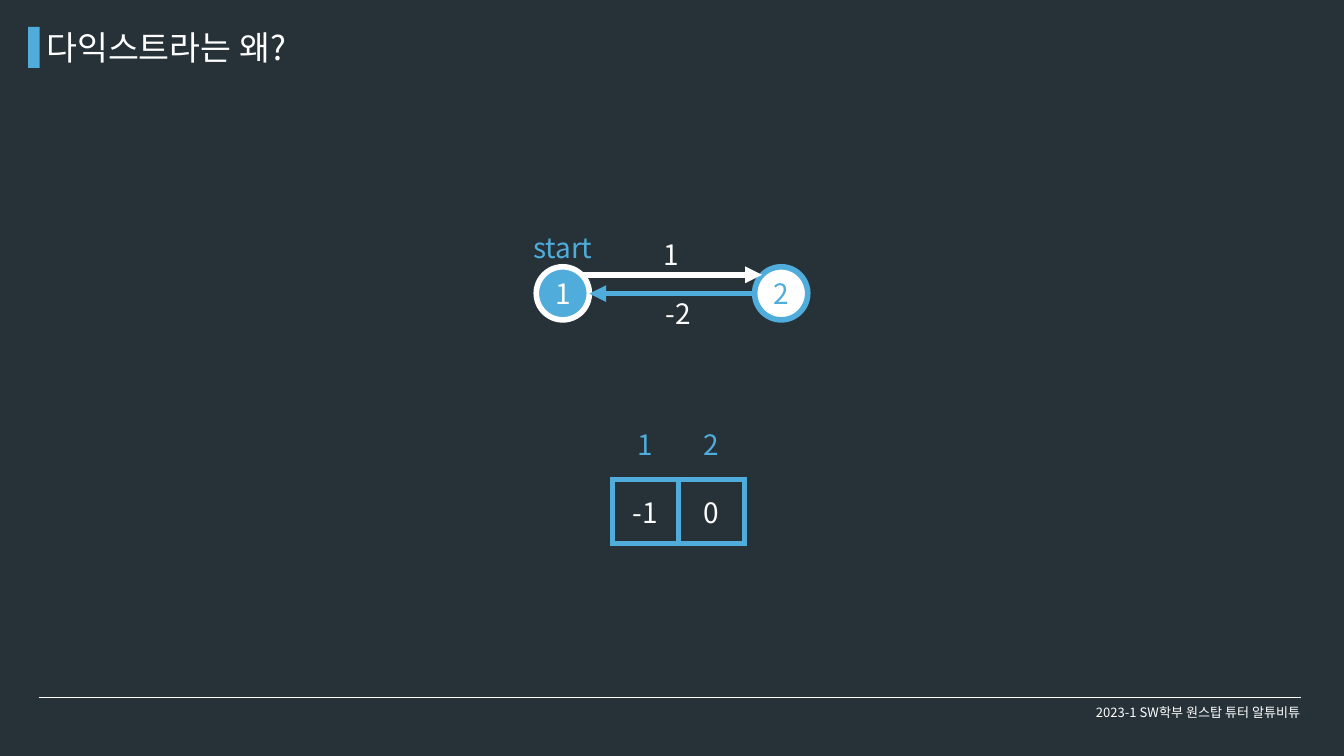
from lxml import etree
from pptx import Presentation
from pptx.dml.color import RGBColor
from pptx.enum.shapes import MSO_CONNECTOR, MSO_SHAPE
from pptx.enum.text import MSO_ANCHOR, MSO_AUTO_SIZE, PP_ALIGN
from pptx.oxml.ns import qn
from pptx.util import Inches, Pt

STRAIGHT = MSO_CONNECTOR.STRAIGHT
RECTANGLE, OVAL = MSO_SHAPE.RECTANGLE, MSO_SHAPE.OVAL
LEFT, CENTER = PP_ALIGN.LEFT, PP_ALIGN.CENTER
TOP, MIDDLE = MSO_ANCHOR.TOP, MSO_ANCHOR.MIDDLE
FIT_SHAPE = MSO_AUTO_SIZE.SHAPE_TO_FIT_TEXT

FONT = "Noto Sans CJK KR"
DARK, BLUE, WHITE = "263238", "4FACDB", "FFFFFF"
HEAVY = 6
NODE_SIZE, NODE_TOP = 0.79, 3.97
CELL_WIDTH, CELL_HEIGHT, TABLE_LEFT = 0.985, 0.96, 9.11


def color(value):
    """Turn a hex string into a colour."""
    return RGBColor.from_string(value)


def write(frame, text, size, text_color, align):
    """Put one styled paragraph into a text frame."""
    paragraph = frame.paragraphs[0]
    paragraph.text = text
    paragraph.alignment = align
    paragraph.font.size = Pt(size)
    paragraph.font.name = FONT
    paragraph.font.color.rgb = color(text_color)
    defaults = paragraph._p.get_or_add_pPr().get_or_add_defRPr()
    etree.SubElement(defaults, qn("a:ea"), typeface=FONT)


def add_text(slide, box, text, size=30, text_color=WHITE, align=LEFT,
             anchor=TOP, wrap=True, grow=True):
    """Add a text box."""
    frame = slide.shapes.add_textbox(*map(Inches, box)).text_frame
    frame.word_wrap = wrap
    frame.vertical_anchor = anchor
    if grow:
        frame.auto_size = FIT_SHAPE
    write(frame, text, size, text_color, align)


def add_shape(slide, kind, box, fill, line=None):
    """Add a flat filled shape with an optional heavy outline."""
    shape = slide.shapes.add_shape(kind, *map(Inches, box))
    shape.shadow.inherit = False
    shape.fill.solid()
    shape.fill.fore_color.rgb = color(fill)
    if line:
        shape.line.color.rgb = color(line)
        shape.line.width = Pt(HEAVY)
    else:
        shape.line.fill.background()
    return shape


def add_node(slide, left, label, fill, accent):
    """Add a graph node whose outline and label share a colour."""
    box = (left, NODE_TOP, NODE_SIZE, NODE_SIZE)
    frame = add_shape(slide, OVAL, box, fill, accent).text_frame
    frame.vertical_anchor = MIDDLE
    frame.word_wrap = False
    write(frame, label, 30, accent, CENTER)


def add_line(slide, start, end, line_color, width, arrow=False):
    """Add a straight line, with an arrowhead at its end if asked."""
    connector = slide.shapes.add_connector(STRAIGHT, *map(Inches, start + end))
    connector.line.color.rgb = color(line_color)
    connector.line.width = Pt(width)
    if arrow:
        etree.SubElement(connector.line._get_or_add_ln(), qn("a:tailEnd"), type="triangle")
    etree.SubElement(connector._element.spPr, qn("a:effectLst"))


def set_borders(cell, border):
    """Draw all four cell borders in one colour, or hide them."""
    properties = cell._tc.get_or_add_tcPr()
    for index, side in enumerate(("a:lnL", "a:lnR", "a:lnT", "a:lnB")):
        line = etree.Element(qn(side), w=str(Pt(HEAVY) if border else 0))
        if border:
            fill = etree.SubElement(line, qn("a:solidFill"))
            etree.SubElement(fill, qn("a:srgbClr"), val=border)
        else:
            etree.SubElement(line, qn("a:noFill"))
        properties.insert(index, line)


def add_row(slide, top, values, text_color, border=None):
    """Add a one-row table of centred values without fill."""
    box = (TABLE_LEFT, top, CELL_WIDTH * len(values), CELL_HEIGHT)
    table = slide.shapes.add_table(1, len(values), *map(Inches, box)).table
    table.first_row = table.horz_banding = False
    for cell, value in zip(table.iter_cells(), values):
        cell.fill.background()
        cell.vertical_anchor = MIDDLE
        write(cell.text_frame, value, 30, text_color, CENTER)
        set_borders(cell, border)


def main():
    """Build the slide and save it."""
    presentation = Presentation()
    presentation.slide_width = Inches(20)
    presentation.slide_height = Inches(11.25)
    slide = presentation.slides.add_slide(presentation.slide_layouts[6])
    slide.background.fill.solid()
    slide.background.fill.fore_color.rgb = color(DARK)

    add_line(slide, (0.58, 10.38), (19.36, 10.38), WHITE, 0.75)
    add_shape(slide, RECTANGLE, (0.42, 0.4, 0.17, 0.61), BLUE)
    add_text(slide, (0.59, 0.35, 9.5, 0.71), "다익스트라는 왜?", 36)

    add_row(slide, 7.13, ("-1", "0"), WHITE, BLUE)
    add_row(slide, 6.12, ("1", "2"), BLUE)

    add_node(slide, 7.98, "1", BLUE, WHITE)
    add_node(slide, 11.23, "2", WHITE, BLUE)
    add_line(slide, (8.66, 4.09), (11.34, 4.09), WHITE, HEAVY, arrow=True)
    add_text(slide, (9.77, 3.49, 0.46, 0.61), "1", wrap=False)
    add_line(slide, (11.23, 4.37), (8.77, 4.37), BLUE, HEAVY, arrow=True)
    add_text(slide, (9.81, 4.36, 0.64, 0.61), "-2", wrap=False)
    add_text(slide, (7.43, 3.38, 1.89, 0.61), "start", text_color=BLUE, align=CENTER)

    add_text(slide, (15.83, 10.31, 4, 0.57), "2023-1 SW학부 원스탑 튜터 알튜비튜", 14,
             align=CENTER, anchor=MIDDLE, grow=False)
    presentation.save("out.pptx")


if __name__ == "__main__":
    main()
